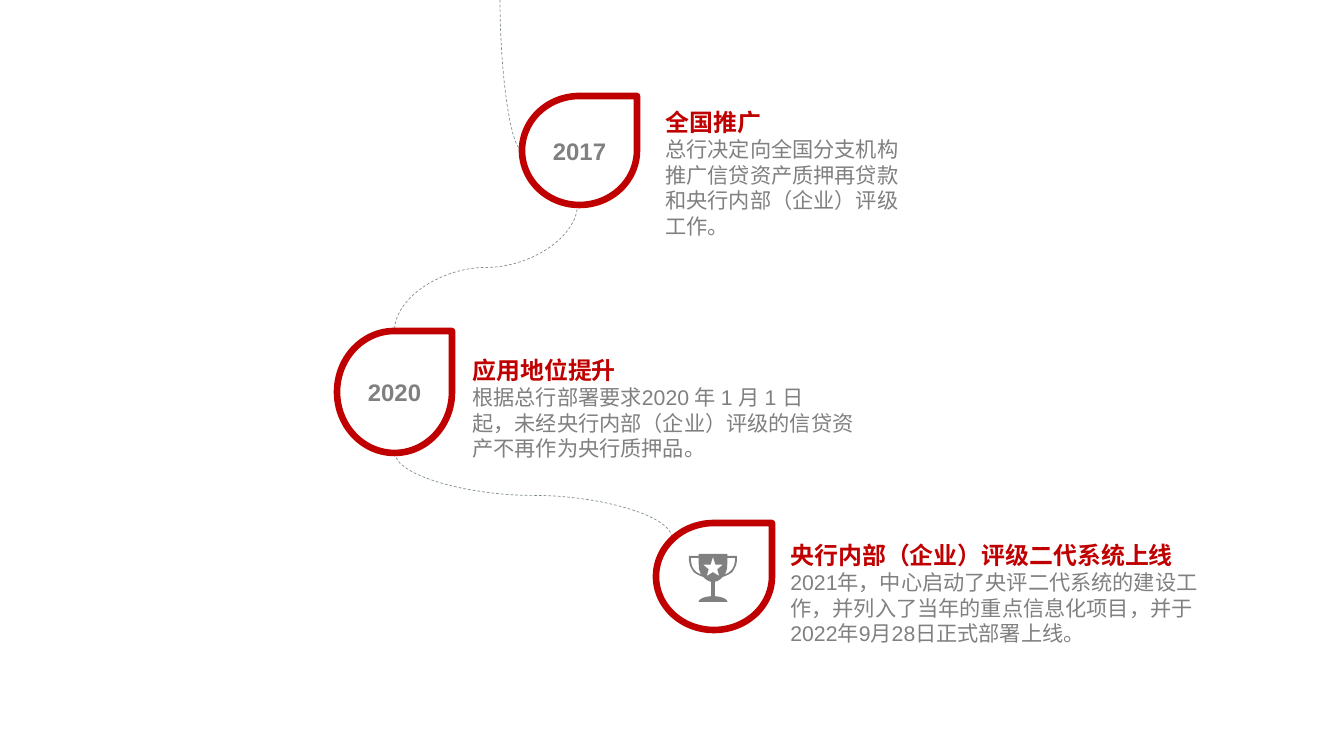
"""Build a winding timeline slide with three teardrop milestones and a trophy."""
from lxml import etree
from pptx import Presentation
from pptx.dml.color import RGBColor
from pptx.enum.dml import MSO_LINE
from pptx.enum.shapes import MSO_CONNECTOR, MSO_SHAPE
from pptx.enum.text import MSO_ANCHOR, MSO_AUTO_SIZE, PP_ALIGN
from pptx.oxml.ns import qn
from pptx.util import Pt

PX = 9565
CURVE = MSO_CONNECTOR.CURVE
TEAR = MSO_SHAPE.TEAR
DASH = MSO_LINE.DASH
MIDDLE = MSO_ANCHOR.MIDDLE
CENTER = PP_ALIGN.CENTER
GROW = MSO_AUTO_SIZE.SHAPE_TO_FIT_TEXT
HEX = {"red": "C00000", "gray": "808080", "path": "7F8C8D", "white": "FFFFFF"}
COLOR = {name: RGBColor.from_string(code) for name, code in HEX.items()}


def style(para, size, color, bold):
    font = para.font
    font.name = "Arial"
    font.size = Pt(size)
    font.bold = bold
    font.color.rgb = COLOR[color]


def mirror(points):
    return [(100 - x, y) for x, y in reversed(points)]


prs = Presentation()
prs.slide_width = 1344 * PX
prs.slide_height = 756 * PX
slide = prs.slides.add_slide(prs.slide_layouts[6])
shapes = slide.shapes

curves = [
    (500, 0, 522, 150, "curvedConnector2"),
    (578, 205, 395, 331, "curvedConnector3"),
    (395, 453, 672, 538, "curvedConnector3"),
]
for x1, y1, x2, y2, preset in curves:
    wide, high = y2 - y1, abs(x2 - x1)
    left = (x1 + x2 - wide) // 2
    top = (y1 + y2 - high) // 2
    curve = shapes.add_connector(
        CURVE, left * PX, top * PX, (left + wide) * PX, (top + high) * PX)
    curve.line.color.rgb = COLOR["path"]
    curve.line.width = Pt(0.5)
    curve.line.dash_style = DASH
    props = curve._element.spPr
    props.find(qn("a:prstGeom")).set("prst", preset)
    frame = props.find(qn("a:xfrm"))
    if x2 > x1:
        frame.set("rot", str(270 * 60000))
        frame.set("flipH", "1")
    else:
        frame.set("rot", str(90 * 60000))
    etree.SubElement(props, qn("a:effectLst"))

stops = [
    ((522, 96, 115, 109), "2017", (656, 103, 263, 141), "全国推广",
     ["总行决定向全国分支机构推广信贷资产质押再贷款和央行内部（企业）评级工作。"]),
    ((337, 331, 115, 122), "2020", (463, 351, 405, 132), "应用地位提升",
     ["根据总行部署要求2020 年 1 月 1 日",
      "起，未经央行内部（企业）评级的信贷资产不再作为央行质押品。"]),
    ((656, 523, 116, 107), "", (781, 536, 441, 116), "央行内部（企业）评级二代系统上线",
     ["2021年，中心启动了央评二代系统的建设工作，并列入了当年的重点信息化项目，"
      "并于2022年9月28日正式部署上线。"]),
]
for spot, year, area, title, body in stops:
    drop = shapes.add_shape(TEAR, *[n * PX for n in spot])
    drop.shadow.inherit = False
    drop.fill.solid()
    drop.fill.fore_color.rgb = COLOR["white"]
    drop.line.color.rgb = COLOR["red"]
    drop.line.width = Pt(5)
    if year:
        drop.text_frame.text = year
        drop.text_frame.vertical_anchor = MIDDLE
        para = drop.text_frame.paragraphs[0]
        para.alignment = CENTER
        style(para, 18, "gray", True)

    text = shapes.add_textbox(*[n * PX for n in area]).text_frame
    text.word_wrap = True
    text.auto_size = GROW
    text.text = "\n".join([title] + body)
    head, *rest = text.paragraphs
    style(head, 18, "red", True)
    for para in rest:
        style(para, 16, "gray", False)

cup = [(80, 0), (80, 4), (100, 4), (100, 14), (98, 24), (94, 32), (90, 38),
       (84, 42), (78, 45), (70, 48), (66, 52), (60, 56), (54, 58), (54, 88),
       (62, 89), (70, 91), (76, 94), (80, 98), (80, 100)]
grip = [(80, 8), (96, 8), (96, 14), (94, 24), (90, 32), (84, 38), (75, 43),
        (79, 32), (80, 18)]
star = [(50, 6), (55, 22), (71, 22), (59, 32), (63, 46), (50, 38)]
rings = [cup + mirror(cup), grip, mirror(grip), star + mirror(star)[1:-1]]

pen = shapes.build_freeform(*rings[0][0], scale=PX * 0.48)
pen.add_line_segments(rings[0][1:])
for ring in rings[1:]:
    pen.move_to(*ring[0])
    pen.add_line_segments(ring[1:])
trophy = pen.convert_to_shape(689 * PX, 554 * PX)
trophy.shadow.inherit = False
trophy.fill.solid()
trophy.fill.fore_color.rgb = COLOR["gray"]
trophy.line.fill.background()

prs.save("out.pptx")
